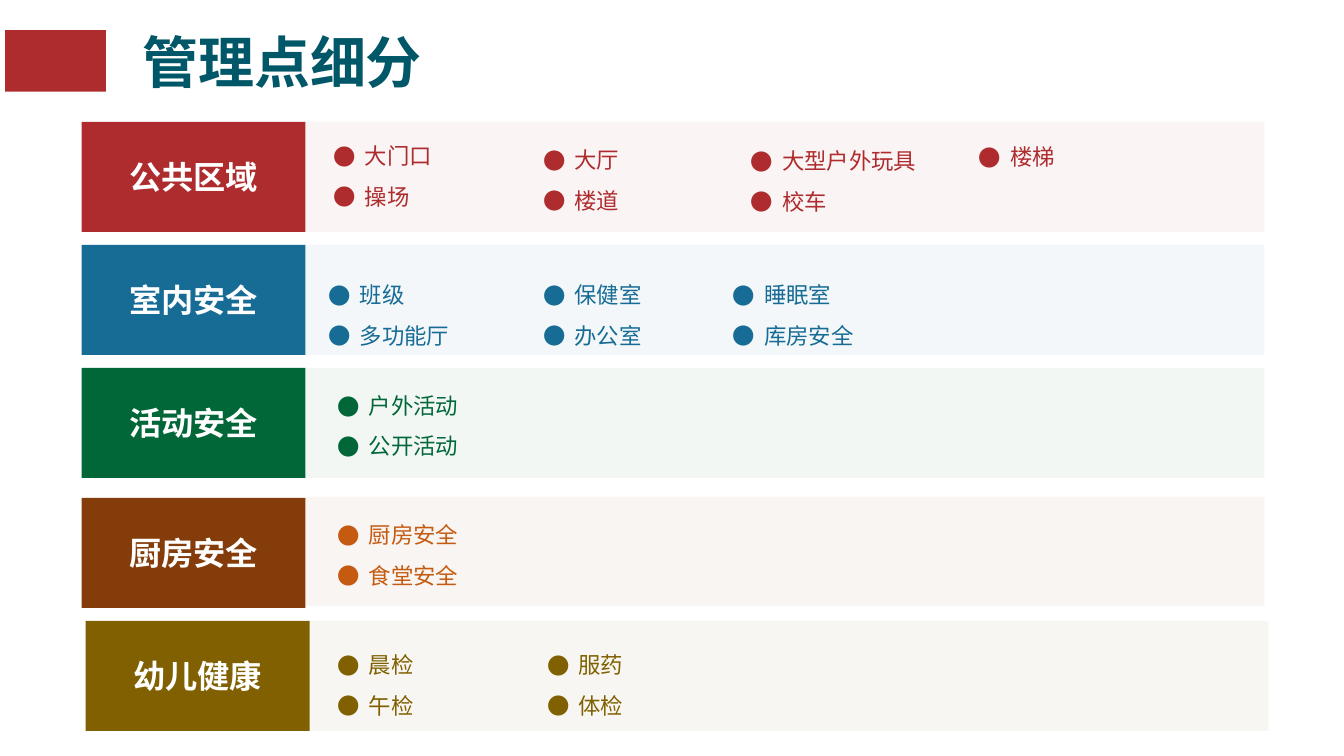
from lxml.etree import SubElement
from pptx import Presentation
from pptx.dml.color import RGBColor
from pptx.enum.shapes import MSO_SHAPE
from pptx.enum.text import MSO_ANCHOR, MSO_AUTO_SIZE, PP_ALIGN
from pptx.oxml.ns import qn
from pptx.util import Inches, Pt

FONT = "Noto Sans CJK SC"
COLORS = {
    "red": "AE2C2E", "blue": "176C95", "green": "016738", "brown": "843C0B",
    "orange": "C55A11", "olive": "806000", "teal": "005768", "white": "FFFFFF",
}
LABEL_W, BAND_W, ROW_H = 2.22, 9.51, 1.09

# label, colour, list colour, left, top, band top, band height, lists (left, top, width, items)
ROWS = [
    ("公共区域", "red", "red", 0.81, 1.21, 1.21, ROW_H, [
        (3.21, 1.23, 1.7, ["大门口", "操场"]),
        (5.29, 1.27, 1.38, ["大厅", "楼道"]),
        (7.35, 1.28, 2.65, ["大型户外玩具", "校车"]),
        (9.61, 1.24, 1.38, ["楼梯"])]),
    ("室内安全", "blue", "blue", 0.81, 2.43, 2.43, ROW_H, [
        (3.16, 2.61, 2.07, ["班级", "多功能厅"]),
        (5.29, 2.61, 1.5, ["保健室", "办公室"]),
        (7.17, 2.61, 1.5, ["睡眠室", "库房安全"])]),
    ("活动安全", "green", "green", 0.81, 3.65, 3.65, ROW_H, [
        (3.25, 3.71, 2.07, ["户外活动", "公开活动"])]),
    ("厨房安全", "brown", "orange", 0.81, 4.94, 4.93, 1.08, [
        (3.25, 4.99, 2.07, ["厨房安全", "食堂安全"])]),
    ("幼儿健康", "olive", "olive", 0.85, 6.16, 6.16, ROW_H, [
        (3.25, 6.28, 2.07, ["晨检", "午检"]),
        (5.33, 6.28, 2.07, ["服药", "体检"])]),
]


def set_all(obj, **values):
    for name, value in values.items():
        setattr(obj, name, value)


def place(sp, x, y, w, h):
    set_all(sp, left=Inches(x), top=Inches(y), width=Inches(w), height=Inches(h))


def bring_to_front(sp):
    sp._element.getparent().append(sp._element)


def write(p, text, size, color, bold=False):
    r = p.add_run()
    r.text = text
    set_all(r.font, name=FONT, size=Pt(size), bold=bold)
    r.font.color.rgb = RGBColor.from_string(COLORS[color])
    SubElement(r._r.get_or_add_rPr(), qn("a:ea"), typeface=FONT)


def add_block(s, x, y, w, h, color, opacity=None):
    sp = s.shapes.add_shape(MSO_SHAPE.RECTANGLE, *map(Inches, (x, y, w, h)))
    sp.shadow.inherit = False
    sp.line.fill.background()
    sp.fill.solid()
    sp.fill.fore_color.rgb = RGBColor.from_string(COLORS[color])
    if opacity:
        clr = sp._element.spPr.find(".//" + qn("a:srgbClr"))
        SubElement(clr, qn("a:alpha"), val=str(opacity * 1000))
    return sp


def add_label(s, x, y, text, color):
    tf = add_block(s, x, y, LABEL_W, ROW_H, color).text_frame
    set_all(tf, vertical_anchor=MSO_ANCHOR.MIDDLE, word_wrap=True)
    p = tf.paragraphs[0]
    p.alignment = PP_ALIGN.CENTER
    write(p, text, 23, "white", bold=True)


def fill_list(sp, x, y, w, items, color):
    place(sp, x, y, w, 0.06 + 0.4 * len(items))
    tf = sp.text_frame
    set_all(tf, word_wrap=True, auto_size=MSO_AUTO_SIZE.SHAPE_TO_FIT_TEXT)
    for i, item in enumerate(items):
        p = tf.add_paragraph() if i else tf.paragraphs[0]
        set_all(p, line_spacing=1.5, space_before=Pt(0))
        pPr = p._p.get_or_add_pPr()
        pPr.set("marL", str(Inches(0.31)))
        pPr.set("indent", str(-Inches(0.31)))
        SubElement(pPr, qn("a:buFont"), typeface=FONT)
        SubElement(pPr, qn("a:buChar"), char="●")
        write(p, item, 16, color)
    bring_to_front(sp)


def set_title(sp, text):
    place(sp, 1.28, 0.21, 6.13, 0.8)
    tf = sp.text_frame
    set_all(tf, vertical_anchor=MSO_ANCHOR.MIDDLE, word_wrap=True,
            auto_size=MSO_AUTO_SIZE.NONE,
            margin_left=Inches(0.13), margin_right=Inches(0.13),
            margin_top=Inches(0.07), margin_bottom=Inches(0.07))
    p = tf.paragraphs[0]
    p.alignment = PP_ALIGN.LEFT
    write(p, text, 40, "teal", bold=True)


def main():
    prs = Presentation()
    set_all(prs, slide_width=Inches(13.33), slide_height=Inches(7.5))
    s = prs.slides.add_slide(prs.slide_layouts[1])

    # Heading with its red marker
    set_title(s.shapes.title, "管理点细分")
    add_block(s, 0.05, 0.3, 1, 0.61, "red")

    # Category rows; the first list takes the body placeholder
    bodies = [s.placeholders[1]]
    for label, color, list_color, x, y, band_y, band_h, lists in ROWS:
        add_block(s, x + LABEL_W, band_y, BAND_W, band_h, color, opacity=5)
        add_label(s, x, y, label, color)
        for left, top, width, items in lists:
            sp = bodies.pop() if bodies else s.shapes.add_textbox(0, 0, 0, 0)
            fill_list(sp, left, top, width, items, list_color)

    prs.save("out.pptx")


main()
